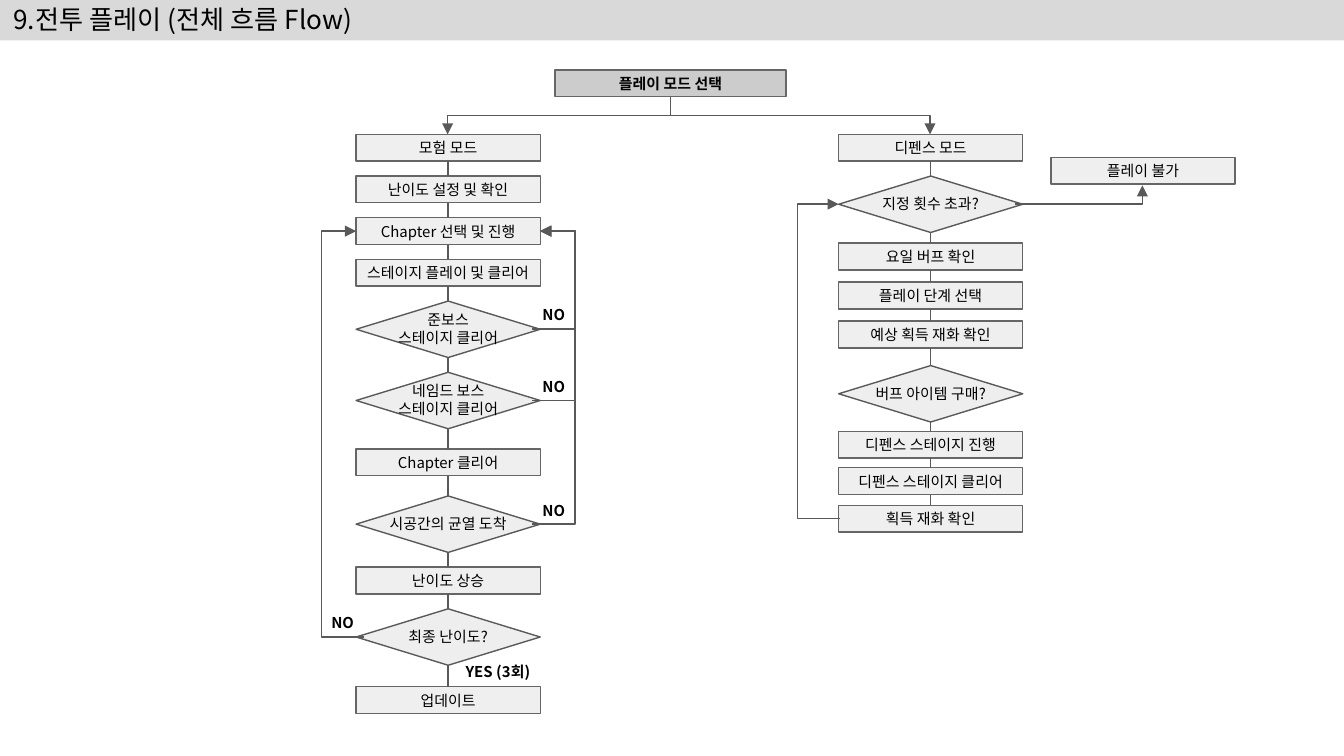
from lxml import etree
from pptx import Presentation
from pptx import util as u
from pptx.dml.color import RGBColor
from pptx.enum import shapes, text
from pptx.oxml.ns import qn

FONT = "Noto Sans CJK KR"
BLACK = RGBColor(0x00, 0x00, 0x00)
TITLE_GRAY = RGBColor(0xD9, 0xD9, 0xD9)
START_GRAY = RGBColor(0xCC, 0xCC, 0xCC)
STEP_GRAY = RGBColor(0xEF, 0xEF, 0xEF)
CHECK_GRAY = RGBColor(0xEE, 0xEE, 0xEE)
BORDER = RGBColor(0x66, 0x66, 0x66)
FLOW = RGBColor(0x59, 0x59, 0x59)

STEP_WIDTH, STEP_HEIGHT, CHECK_HEIGHT = 1.37, 0.2, 0.42
LEFT_COLUMN, RIGHT_COLUMN = 2.65, 6.24


def write(shape, words, size=8, bold=False, align=text.PP_ALIGN.CENTER, inset=0):
    frame = shape.text_frame
    frame.auto_size = text.MSO_AUTO_SIZE.NONE
    frame.word_wrap = True
    frame.vertical_anchor = text.MSO_ANCHOR.MIDDLE
    frame.margin_left = frame.margin_right = u.Inches(inset)
    frame.margin_top = frame.margin_bottom = 0
    for index, line in enumerate(words.split("\n")):
        para = frame.add_paragraph() if index else frame.paragraphs[0]
        para.alignment = align
        span = para.add_run()
        span.text = line
        span.font.size = u.Pt(size)
        span.font.bold = bold
        span.font.color.rgb = BLACK
        span.font.name = FONT
        span.font._element.set("kern", "0")
        etree.SubElement(span.font._element, qn("a:ea"), typeface=FONT)


def add_flow(kind, begin, end, bend=None, arrow=True):
    flow = page.shapes.add_connector(kind, *[u.Inches(v) for v in (*begin, *end)])
    flow.line.color.rgb = FLOW
    flow.line.width = u.Pt(0.75)
    if arrow:
        etree.SubElement(flow.line._get_or_add_ln(), qn("a:tailEnd"), type="triangle")
    properties = flow._element.spPr
    etree.SubElement(properties, qn("a:effectLst"))
    if bend is not None:
        guides = properties.prstGeom.get_or_add_avLst()
        etree.SubElement(guides, qn("a:gd"), name="adj1", fmla=f"val {round(bend * 100000)}")
    return flow


deck = Presentation()
deck.slide_width = u.Inches(10)
deck.slide_height = deck.slide_width * 9 // 16
page = deck.slides.add_slide(deck.slide_layouts[5])

title = page.shapes.title
title.left, title.top = 0, u.Inches(-0.01)
title.width, title.height = u.Inches(10), u.Inches(0.31)
title.fill.solid()
title.fill.fore_color.rgb = TITLE_GRAY
write(title, "9.전투 플레이 (전체 흐름 Flow)", size=14, align=text.PP_ALIGN.LEFT, inset=0.1)

adventure = [
    ("step", 1, "모험 모드"),
    ("step", 1.31, "난이도 설정 및 확인"),
    ("step", 1.62, "Chapter 선택 및 진행"),
    ("step", 1.93, "스테이지 플레이 및 클리어"),
    ("check", 2.24, "준보스\n스테이지 클리어"),
    ("check", 2.77, "네임드 보스\n스테이지 클리어"),
    ("step", 3.34, "Chapter 클리어"),
    ("check", 3.69, "시공간의 균열 도착"),
    ("step", 4.22, "난이도 상승"),
    ("check", 4.53, "최종 난이도?"),
    ("step", 5.11, "업데이트"),
]
defense = [
    ("step", 1, "디펜스 모드"),
    ("check", 1.31, "지정 횟수 초과?"),
    ("step", 1.81, "요일 버프 확인"),
    ("step", 2.1, "플레이 단계 선택"),
    ("step", 2.39, "예상 획득 재화 확인"),
    ("check", 2.72, "버프 아이템 구매?"),
    ("step", 3.21, "디펜스 스테이지 진행"),
    ("step", 3.48, "디펜스 스테이지 클리어"),
    ("step", 3.76, "획득 재화 확인"),
]
columns = [
    (4.13, 1.72, [("start", 0.52, "플레이 모드 선택")]),
    (LEFT_COLUMN, STEP_WIDTH, adventure),
    (RIGHT_COLUMN, STEP_WIDTH, defense),
    (7.82, STEP_WIDTH, [("step", 1.17, "플레이 불가")]),
]
looks = {
    "start": (shapes.MSO_SHAPE.RECTANGLE, STEP_HEIGHT, START_GRAY, BORDER),
    "step": (shapes.MSO_SHAPE.RECTANGLE, STEP_HEIGHT, STEP_GRAY, BORDER),
    "check": (shapes.MSO_SHAPE.DIAMOND, CHECK_HEIGHT, CHECK_GRAY, FLOW),
}

for left, width, nodes in columns:
    previous = None
    for kind, top, words in nodes:
        outline, height, fill, border = looks[kind]
        node = page.shapes.add_shape(
            outline, u.Inches(left), u.Inches(top), u.Inches(width), u.Inches(height))
        node.shadow.inherit = False
        node.fill.solid()
        node.fill.fore_color.rgb = fill
        node.line.color.rgb = border
        node.line.width = u.Pt(0.75)
        box = node
        if kind == "check":
            box = page.shapes.add_textbox(
                u.Inches(left + 0.06), u.Inches(top + 0.04), u.Inches(1.25), u.Inches(0.33))
        write(box, words, bold=kind == "start")
        if previous is not None:
            link = add_flow(shapes.MSO_CONNECTOR.STRAIGHT, (0, 0), (1, 1), arrow=False)
            link.begin_connect(previous, 2)
            link.end_connect(node, 0)
        previous = node

fork_x, fork_top, fork_bottom = 4.99, 0.72, 1
for target_x, turn in [(3.33, 90), (6.92, 270)]:
    middle_x, middle_y = (fork_x + target_x) / 2, (fork_top + fork_bottom) / 2
    half_span = abs(target_x - fork_x) / 2
    half_drop = (fork_bottom - fork_top) / 2 * (1 if turn == 90 else -1)
    branch = add_flow(
        shapes.MSO_CONNECTOR.ELBOW,
        (middle_x - half_drop, middle_y - half_span),
        (middle_x + half_drop, middle_y + half_span), bend=0.5)
    branch._element.spPr.xfrm.set("rot", str(turn * 60000))

loops = [
    ((3.96, 2.45), (4.02, 1.72), 4.28),
    ((3.96, 2.98), (4.02, 1.72), 4.28),
    ((3.96, 3.9), (4.02, 1.72), 4.28),
    ((2.71, 4.74), (2.65, 1.72), 2.39),
    ((6.25, 3.86), (6.24, 1.52), 5.93),
]
for begin, end, lane in loops:
    add_flow(shapes.MSO_CONNECTOR.ELBOW, begin, end, (lane - begin[0]) / (end[0] - begin[0]))

refusal = add_flow(shapes.MSO_CONNECTOR.ELBOW, (7.55, 1.52), (8.5, 1.38))
refusal._element.spPr.prstGeom.set("prst", "bentConnector2")

answers = [
    (4, 2.26, 0.24, "NO"),
    (4, 2.8, 0.24, "NO"),
    (4, 3.72, 0.24, "NO"),
    (2.43, 4.55, 0.24, "NO"),
    (3.39, 4.92, 0.63, "YES (3회)"),
]
for left, top, width, words in answers:
    answer = page.shapes.add_textbox(
        u.Inches(left), u.Inches(top), u.Inches(width), u.Inches(0.16))
    write(answer, words, bold=True)

deck.save("out.pptx")
